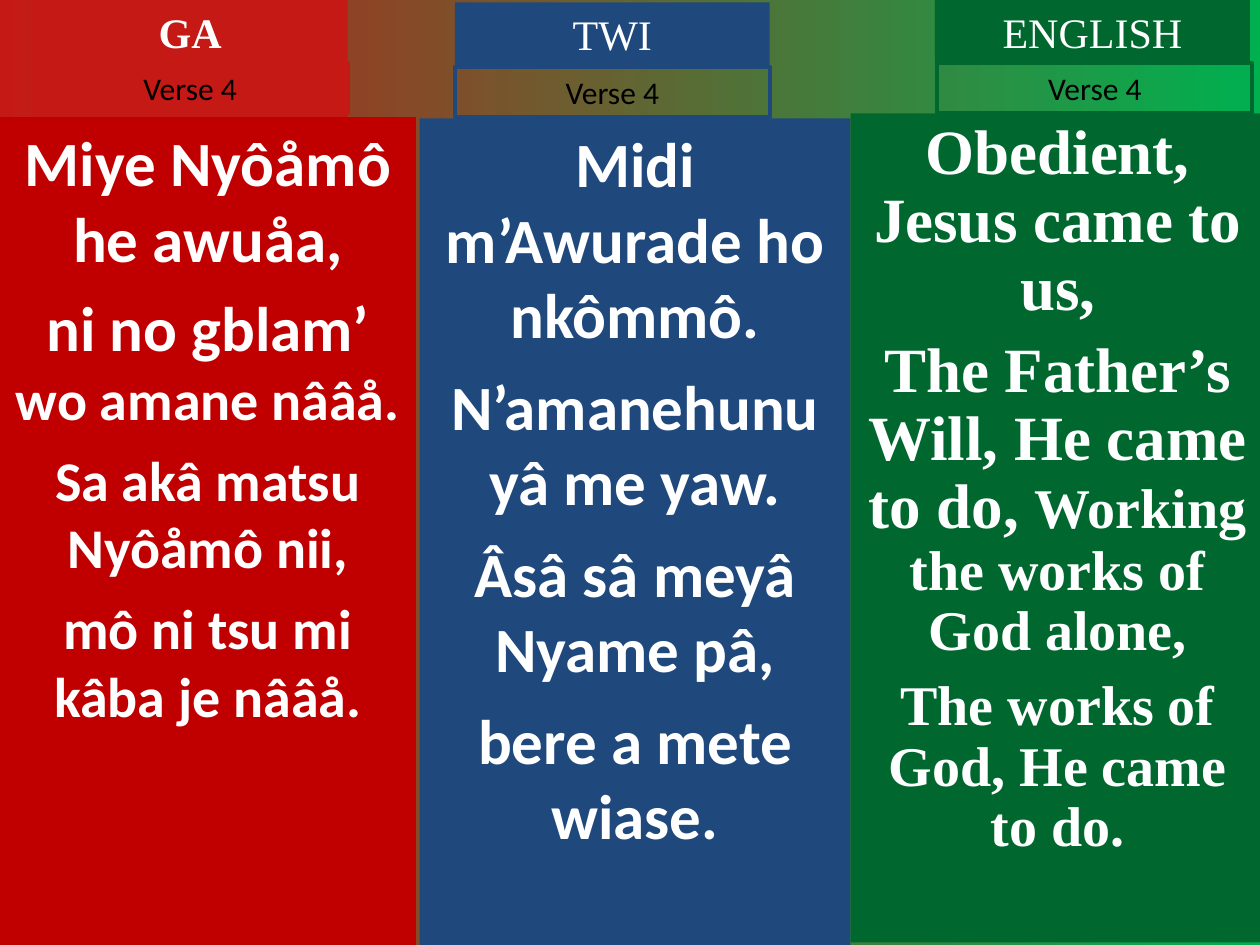
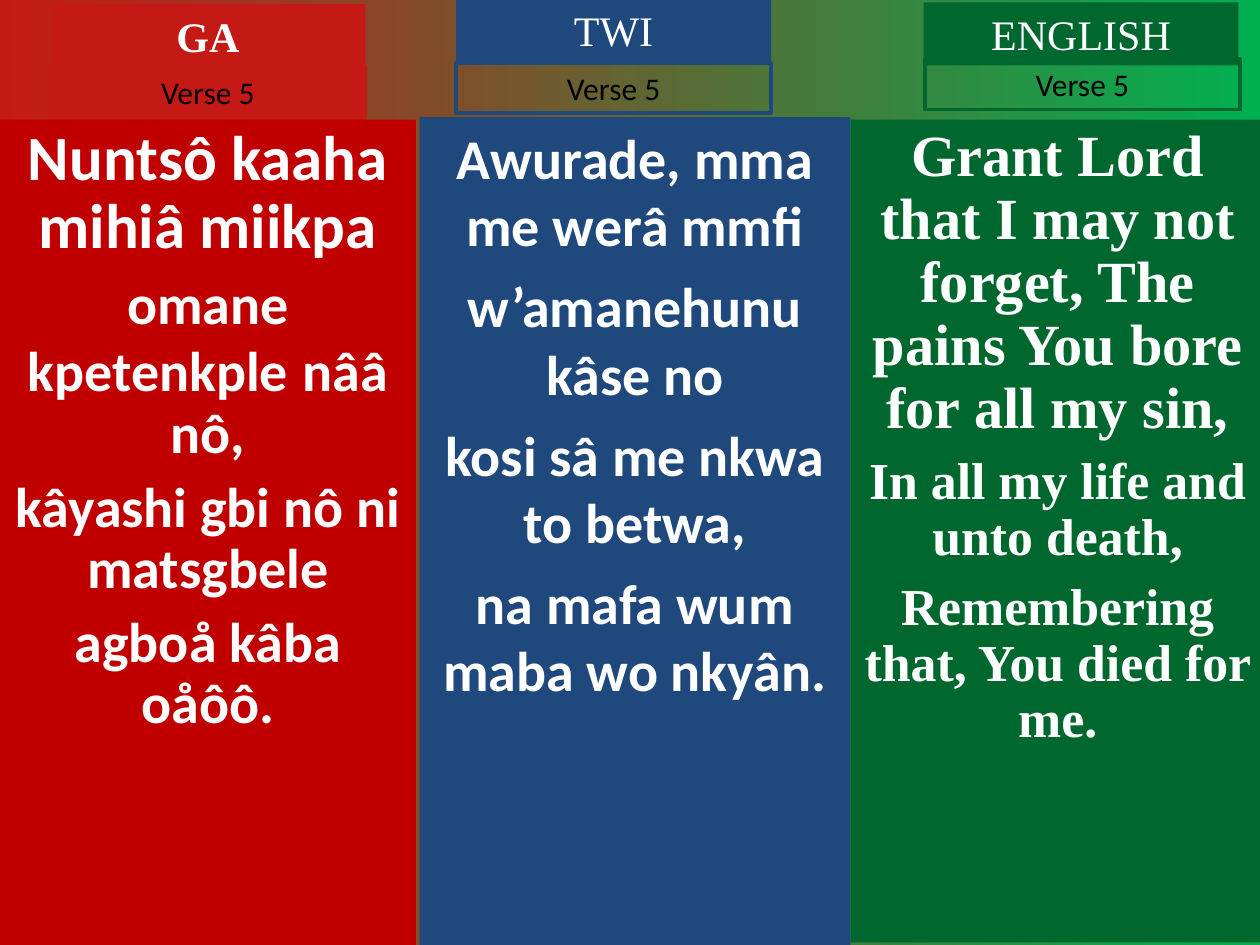
from dataclasses import dataclass

from lxml import etree
from pptx import Presentation
from pptx.dml.color import RGBColor
from pptx.enum.shapes import MSO_SHAPE
from pptx.enum.text import MSO_ANCHOR, MSO_AUTO_SIZE, PP_ALIGN
from pptx.oxml.ns import qn
from pptx.util import Inches, Pt

RECT = MSO_SHAPE.RECTANGLE
TOP = MSO_ANCHOR.TOP
CENTER = PP_ALIGN.CENTER
NO_FIT, GROW = MSO_AUTO_SIZE.NONE, MSO_AUTO_SIZE.SHAPE_TO_FIT_TEXT

# Shared look
SANS, SERIF = "Calibri", "Times New Roman"
WHITE, BLACK = "FFFFFF", "000000"
BACKGROUND = ("C51915", "00B050")
LABEL_W, HEADING_H, TAG_H = 2.5, 0.5, 0.4
COMPARISON_LAYOUT = 4

Line = list[tuple[str, float]]


@dataclass
class Language:
    name: str
    accent: str
    panel: str
    left: float
    width: float
    bottom: float
    font: str
    bold_heading: bool


@dataclass
class Stanza:
    heading: tuple[float, float]
    tag: tuple[float, float]
    top: float
    spacing: float
    lines: list[Line]


LANGUAGES = [
    Language("GA", "C51915", "C00000", 0, 3.3, 7.5, SANS, True),
    Language("TWI", "1F497D", "1F497D", 3.33, 3.42, 7.5, SANS, False),
    Language("ENGLISH", "00682F", "00682F", 6.75, 3.29, 7.48, SERIF, False),
]

# One stanza per language, for each verse
VERSES = {
    "Verse 4": [
        Stanza((0.26, 0), (0.26, 0.5), 0.93, 1.0, [
            [("Miye Nyôåmô he awuåa,", 36)],
            [("ni no gblam’ ", 36), ("wo amane nââå.", 32)],
            [("Sa akâ matsu Nyôåmô nii,", 32)],
            [("mô ni tsu mi kâba je nââå.", 32)],
        ]),
        Stanza((3.61, 0.02), (3.61, 0.53), 0.94, 1.0, [
            [("Midi m’Awurade ho nkômmô.", 36)],
            [("N’amanehunu yâ me yaw.", 36)],
            [("Âsâ sâ meyâ Nyame pâ,", 36)],
            [("bere a mete wiase.", 36)],
        ]),
        Stanza((7.42, 0), (7.44, 0.5), 0.9, 0.9, [
            [("Obedient, Jesus came to us,", 36)],
            [("The Father’s Will, He came to do, ", 36),
             ("Working the works of God alone,", 32)],
            [("The works of God, He came to do.", 32)],
        ]),
    ],
    "Verse 5": [
        Stanza((0.4, 0.03), (0.4, 0.53), 0.95, 0.9, [
            [("Nuntsô kaaha mihiâ miikpa", 36)],
            [("omane kpetenkple", 32), (" ", 36), ("nââ nô,", 32)],
            [("kâyashi gbi nô ni matsgbele", 32)],
            [("agboå kâba oåôô.", 32)],
        ]),
        Stanza((3.62, -0.01), (3.62, 0.5), 0.93, 1.0, [
            [("Awurade, mma me werâ mmfi", 32)],
            [("w’amanehunu kâse no", 32)],
            [("kosi sâ me nkwa to betwa,", 32)],
            [("na mafa wum maba wo nkyân.", 32)],
        ]),
        Stanza((7.33, 0.02), (7.34, 0.47), 0.95, 0.9, [
            [("Grant Lord that I may not forget, The pains You bore for all my sin,", 33.3)],
            [("In all my life and unto death,", 29.6)],
            [("Remembering that, You died for me.", 29.6)],
        ]),
    ],
}


def rgb(value: str) -> RGBColor:
    return RGBColor.from_string(value)


def set_attrs(target, values: dict) -> None:
    for name, value in values.items():
        setattr(target, name, value)


def place(sp, left: float, top: float, width: float, height: float) -> None:
    set_attrs(sp, {"left": Inches(left), "top": Inches(top),
                   "width": Inches(width), "height": Inches(height)})


def paint(sp, fill: str | None = None, line: str | None = None) -> None:
    if fill:
        sp.fill.solid()
        sp.fill.fore_color.rgb = rgb(fill)
    else:
        sp.fill.background()
    if line:
        sp.line.color.rgb = rgb(line)
        sp.line.width = Pt(2.25)
    else:
        sp.line.fill.background()
    sp.shadow.inherit = False


def write(sp, lines: list[Line], font: str, color: str, bold: bool,
          spacing: float = 1.0, fit=GROW) -> None:
    tf = sp.text_frame
    set_attrs(tf, {"word_wrap": True, "auto_size": fit, "vertical_anchor": TOP,
                   "margin_left": Inches(0.1), "margin_right": Inches(0.1),
                   "margin_top": Inches(0.05), "margin_bottom": Inches(0.05)})
    previous_size = 0
    for i, line in enumerate(lines):
        p = tf.add_paragraph() if i else tf.paragraphs[0]
        # Centred, without bullet or indent
        pPr = p._p.get_or_add_pPr()
        pPr.set("marL", "0")
        pPr.set("indent", "0")
        etree.SubElement(pPr, qn("a:buNone"))
        # Space follows the largest text: 9 pt within a run of 36 pt lines
        size = min(s for _, s in line)
        before = 9 if size == previous_size == 36 else 8
        set_attrs(p, {"alignment": CENTER, "line_spacing": spacing,
                      "space_before": Pt(before if i else 0), "space_after": Pt(0)})
        previous_size = size
        for text, points in line:
            r = p.add_run()
            r.text = text
            set_attrs(r.font, {"name": font, "size": Pt(points), "bold": bold})
            r.font.color.rgb = rgb(color)


def add_column(slide, lang: Language, stanza: Stanza, verse: str, panel, heading=None) -> None:
    # Lyrics panel
    place(panel, lang.left, stanza.top, lang.width, lang.bottom - stanza.top)
    paint(panel, fill=lang.panel)
    write(panel, stanza.lines, lang.font, WHITE, True, stanza.spacing, NO_FIT)
    # Language heading
    if heading is None:
        heading = slide.shapes.add_shape(RECT, 0, 0, 0, 0)
    place(heading, *stanza.heading, LABEL_W, HEADING_H)
    paint(heading, fill=lang.accent)
    write(heading, [[(lang.name, 24)]], SERIF, WHITE, lang.bold_heading)
    # Verse tag
    tag = slide.shapes.add_shape(RECT, 0, 0, 0, 0)
    place(tag, *stanza.tag, LABEL_W, TAG_H)
    paint(tag, line=lang.accent)
    write(tag, [[(verse, 18)]], SANS, BLACK, False)


def set_background(prs) -> None:
    fill = prs.slide_master.background.fill
    fill.gradient()
    fill.gradient_angle = 0
    for stop, color, position in zip(fill.gradient_stops, BACKGROUND, (0, 1)):
        stop.color.rgb = rgb(color)
        stop.position = position


def main() -> None:
    prs = Presentation()
    prs.slide_width, prs.slide_height = Inches(10), Inches(7.5)
    set_background(prs)
    for verse, stanzas in VERSES.items():
        slide = prs.slides.add_slide(prs.slide_layouts[COMPARISON_LAYOUT])
        title, *bodies = slide.placeholders
        headings = [title, None, None]
        for lang, stanza, panel, heading in zip(LANGUAGES, stanzas, bodies, headings):
            add_column(slide, lang, stanza, verse, panel, heading)
        for unused in bodies[len(LANGUAGES):]:
            unused._element.getparent().remove(unused._element)
    prs.save("out.pptx")


if __name__ == "__main__":
    main()
